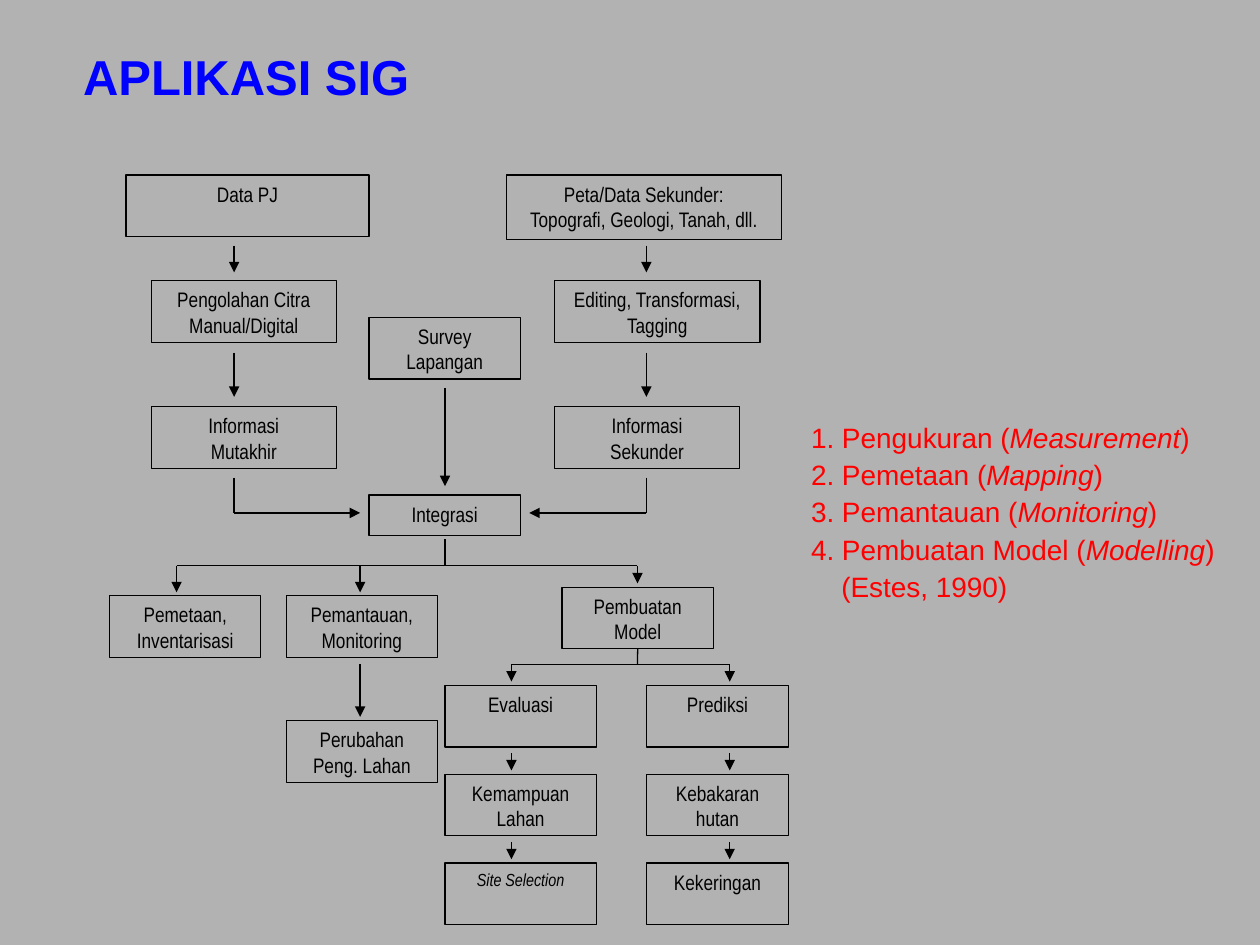
from lxml import etree
from pptx import Presentation
from pptx.dml.color import RGBColor
from pptx.enum.shapes import MSO_CONNECTOR as CONN, MSO_SHAPE as SHAPE
from pptx.enum.text import MSO_ANCHOR as ANCHOR, MSO_AUTO_SIZE as AUTO, PP_ALIGN as ALIGN
from pptx.oxml.ns import qn
from pptx.util import Cm, Pt

GREY = RGBColor(0xB2, 0xB2, 0xB2)
BLACK = RGBColor(0, 0, 0)
BLUE = RGBColor(0, 0, 255)
RED = RGBColor(255, 0, 0)

# Rows and columns of the flowchart, in cm
BOX_H, BOX_W, PREDICT_W = 1.24, 3.05, 2.87
ROW_DATA, ROW_PROCESS, ROW_INFO = 3.53, 5.66, 8.2
ROW_USE, ROW_MODEL = 12.01, 13.82
MODEL_STEP = 1.79
X_IMAGE, X_MAP, X_SURVEY, X_MONITOR, X_EVAL, X_PREDICT = 3.05, 11.18, 7.44, 5.77, 8.97, 13.03
# Axes of the arrows
A_IMAGE, A_MAP, A_SURVEY, A_MODEL = 4.72, 13.03, 8.97, 12.85
A_MAPPING, A_MONITOR, A_EVAL, A_PREDICT = 3.56, 7.26, 10.31, 14.71
Y_MERGE, Y_SPLIT, Y_MODEL = 10.34, 11.4, 13.39


class FlowSlide:
    """Holds the slide and the shared style."""

    box_font = {"name": "Arial Narrow", "size": Pt(12)}
    list_font = {"name": "Arial", "size": Pt(16)}
    title_font = {"name": "Arial", "size": Pt(28), "bold": True}
    line_width = Pt(0.75)

    def __init__(self, prs):
        self.s = prs.slides.add_slide(prs.slide_layouts[5])
        fill = self.s.background.fill
        fill.solid()
        fill.fore_color.rgb = GREY

    def add_run(self, p, text, color, **fmt):
        r = p.add_run()
        r.text = text
        for key, value in fmt.items():
            setattr(r.font, key, value)
        r.font.color.rgb = color

    def set_frame(self, tf, anchor):
        frame = {"word_wrap": True, "auto_size": AUTO.NONE, "vertical_anchor": anchor}
        for key, value in frame.items():
            setattr(tf, key, value)

    def title(self, text, x, y, w, h):
        sp = self.s.shapes.title
        place = {"left": x, "top": y, "width": w, "height": h}
        for key, value in place.items():
            setattr(sp, key, Cm(value))
        self.set_frame(sp.text_frame, ANCHOR.MIDDLE)
        p = sp.text_frame.paragraphs[0]
        p.alignment = ALIGN.LEFT
        self.add_run(p, text, BLUE, **self.title_font)

    def box(self, text, x, y, w=BOX_W, h=BOX_H, **fmt):
        sp = self.s.shapes.add_shape(SHAPE.RECTANGLE, Cm(x), Cm(y), Cm(w), Cm(h))
        sp.shadow.inherit = False
        sp.fill.background()
        sp.line.color.rgb = BLACK
        sp.line.width = self.line_width
        tf = sp.text_frame
        self.set_frame(tf, ANCHOR.TOP)
        for i, line in enumerate(text.split("\n")):
            p = tf.add_paragraph() if i else tf.paragraphs[0]
            p.alignment = ALIGN.CENTER
            self.add_run(p, line, BLACK, **{**self.box_font, **fmt})
        return sp

    def line(self, x1, y1, x2, y2, arrow=False):
        c = self.s.shapes.add_connector(CONN.STRAIGHT, Cm(x1), Cm(y1), Cm(x2), Cm(y2))
        c.line.color.rgb = BLACK
        c.line.width = self.line_width
        if arrow:
            etree.SubElement(c.line._get_or_add_ln(), qn("a:tailEnd"), type="triangle")
        etree.SubElement(c._element.spPr, qn("a:effectLst"))
        return c

    def arrow(self, x1, y1, x2, y2):
        return self.line(x1, y1, x2, y2, arrow=True)

    def goals(self, items, source, x, y, w, h):
        tf = self.s.shapes.add_textbox(Cm(x), Cm(y), Cm(w), Cm(h)).text_frame
        self.set_frame(tf, ANCHOR.TOP)
        for n, (name, english) in enumerate(items, 1):
            p = tf.paragraphs[0] if n == 1 else tf.add_paragraph()
            self.space(p, Cm(0.97), -Cm(0.97))
            self.add_run(p, f"{n}. {name} (", RED, **self.list_font)
            self.add_run(p, english, RED, italic=True, **self.list_font)
            self.add_run(p, ")", RED, **self.list_font)
        p = tf.add_paragraph()
        self.space(p, Cm(0.61), 0)
        self.add_run(p, source, RED, **self.list_font)

    def space(self, p, left, first):
        p.line_spacing = 0.9
        p.space_before = Pt(4)
        pPr = p._p.get_or_add_pPr()
        pPr.set("marL", str(int(left)))
        pPr.set("indent", str(int(first)))


def main():
    prs = Presentation()
    prs.slide_width, prs.slide_height = Cm(25.4), Cm(19.05)
    fs = FlowSlide(prs)
    fs.title("APLIKASI SIG", 1.42, -0.05, 21.36, 3.18)

    # Data sources and processing
    fs.box("Data PJ", 2.54, ROW_DATA, 4.9)
    fs.box("Peta/Data Sekunder:\nTopografi, Geologi, Tanah, dll.", 10.21, ROW_DATA, 5.54, 1.3)
    fs.box("Pengolahan Citra\nManual/Digital", X_IMAGE, ROW_PROCESS, 3.73)
    fs.box("Editing, Transformasi,\nTagging", X_MAP, ROW_PROCESS, 4.14)
    fs.box("Informasi\nMutakhir", X_IMAGE, ROW_INFO, 3.73)
    fs.box("Informasi\nSekunder", X_MAP, ROW_INFO, 3.73)
    fs.box("Survey\nLapangan", X_SURVEY, 6.4)
    fs.box("Integrasi", X_SURVEY, 9.98, h=0.81)

    # Uses of the integrated data
    fs.box("Pemetaan, Inventarisasi", 2.21, ROW_USE)
    fs.box("Pemantauan, Monitoring", X_MONITOR, ROW_USE)
    fs.box("Perubahan\nPeng. Lahan", X_MONITOR, 14.53)
    model = fs.box("Pembuatan Model", 11.33, 11.84)

    # Model branches
    branches = [
        (X_EVAL, BOX_W, ["Evaluasi", "Kemampuan Lahan"]),
        (X_PREDICT, PREDICT_W, ["Prediksi", "Kebakaran hutan", "Kekeringan"]),
    ]
    for x, w, names in branches:
        for i, name in enumerate(names):
            fs.box(name, x, ROW_MODEL + i * MODEL_STEP, w)
    fs.box("Site Selection", X_EVAL, ROW_MODEL + 2 * MODEL_STEP, size=Pt(10), italic=True)

    # Arrows from the sources down to the integration
    for axis, tip in [(A_IMAGE, 7.26), (A_MAP, 10.67)]:
        fs.arrow(axis, 4.95, axis, 5.49)
        fs.arrow(axis, 7.11, axis, 8.0)
        fs.line(axis, 9.63, axis, Y_MERGE)
        fs.arrow(axis, Y_MERGE, tip, Y_MERGE)
    fs.arrow(A_SURVEY, 7.82, A_SURVEY, 9.8)

    # Split into the uses
    fs.line(A_SURVEY, 10.87, A_SURVEY, Y_SPLIT)
    fs.line(A_MAPPING, Y_SPLIT, A_MODEL, Y_SPLIT)
    for axis, end in [(A_MAPPING, 11.94), (A_MONITOR, 11.94), (A_MODEL, 11.76)]:
        fs.arrow(axis, Y_SPLIT, axis, end)
    fs.arrow(A_MONITOR, Y_MODEL, A_MONITOR, 14.45)

    # Split into the model branches
    fs.line(A_MODEL, Y_MODEL, A_MODEL, 13.08).end_connect(model, 2)
    fs.line(A_EVAL, Y_MODEL, A_PREDICT, Y_MODEL)
    for axis in (A_EVAL, A_PREDICT):
        for i in range(3):
            top = Y_MODEL + i * MODEL_STEP
            fs.arrow(axis, top, axis, top + 0.35)

    # Goals of the applications
    goals = [
        ("Pengukuran", "Measurement"),
        ("Pemetaan", "Mapping"),
        ("Pemantauan", "Monitoring"),
        ("Pembuatan Model", "Modelling"),
    ]
    fs.goals(goals, "(Estes, 1990)", 16.1, 8.43, 8.81, 4.75)

    prs.save("out.pptx")


if __name__ == "__main__":
    main()
